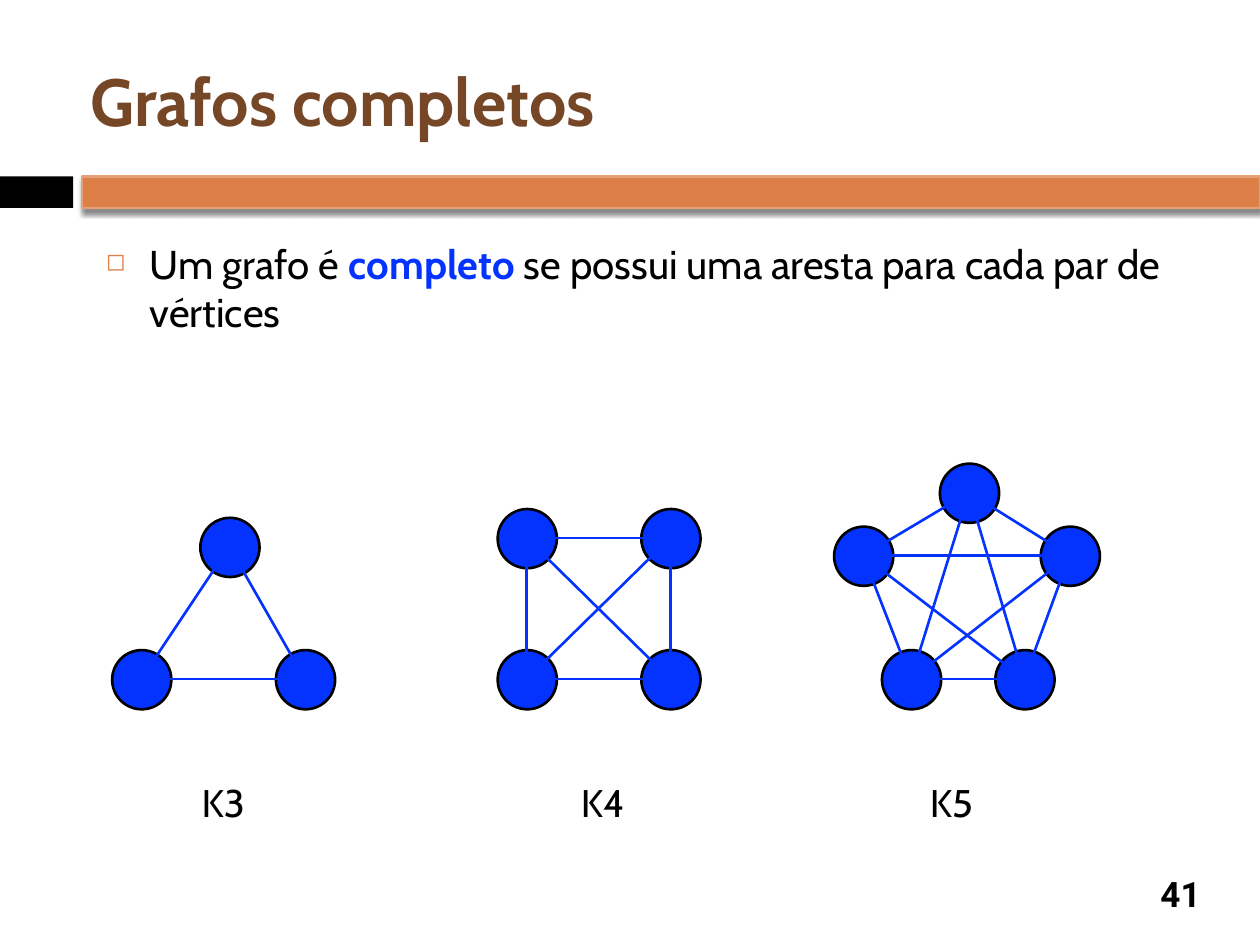
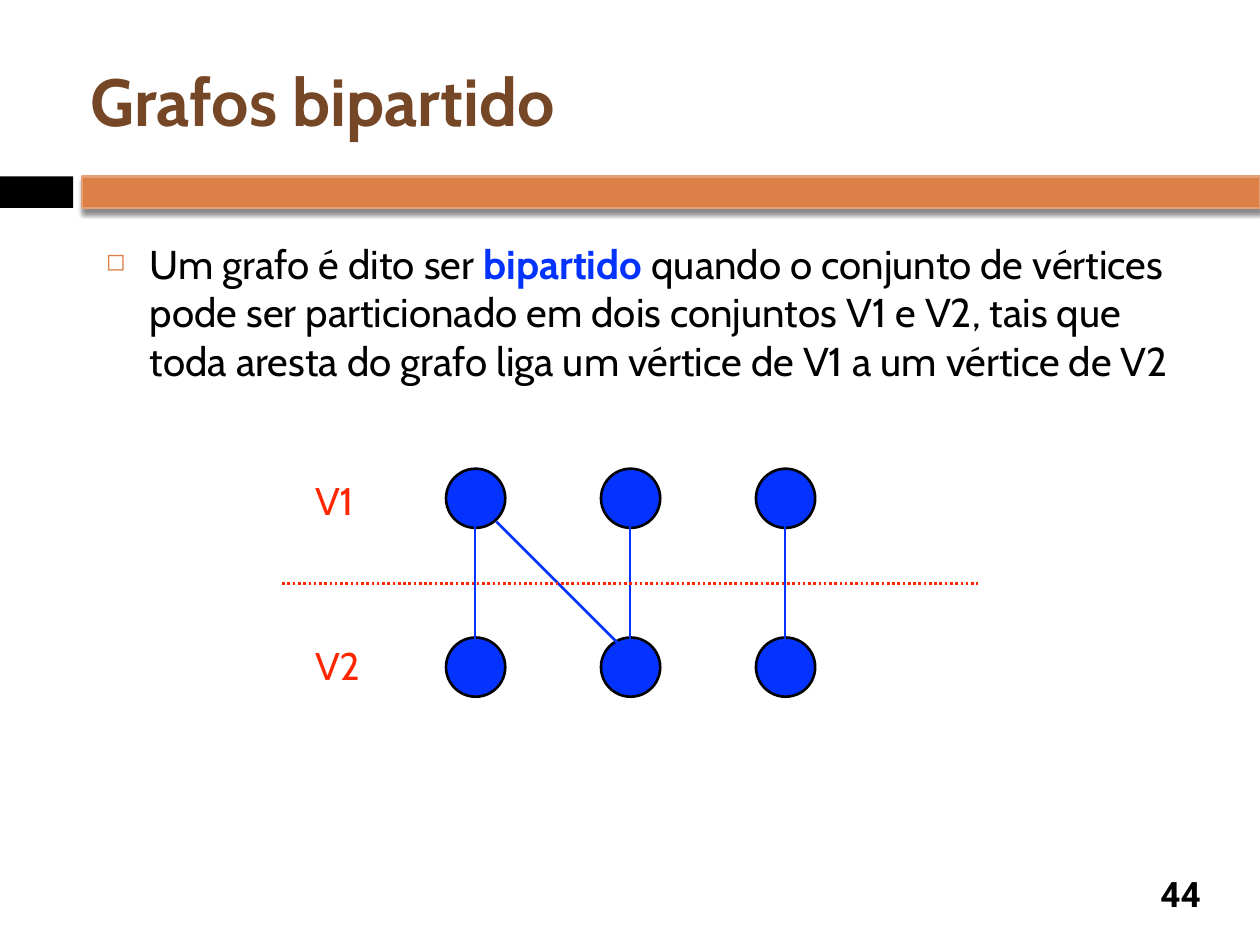
from itertools import combinations

from lxml import etree
from pptx import Presentation
from pptx.dml.color import RGBColor
from pptx.enum.dml import MSO_LINE
from pptx.enum.shapes import MSO_CONNECTOR, MSO_SHAPE
from pptx.enum.text import MSO_ANCHOR, MSO_AUTO_SIZE, PP_ALIGN
from pptx.oxml.ns import qn
from pptx.util import Pt

RECT, OVAL = MSO_SHAPE.RECTANGLE, MSO_SHAPE.OVAL
LINE, DOTS = MSO_CONNECTOR.STRAIGHT, MSO_LINE.ROUND_DOT
TOP, MID = MSO_ANCHOR.TOP, MSO_ANCHOR.MIDDLE
LEFT, CENTER = PP_ALIGN.LEFT, PP_ALIGN.CENTER
FIXED = MSO_AUTO_SIZE.NONE
BLACK, BLUE, RED = "000000", "0433FF", "FF2600"
BROWN, ORANGE, PEACH = "754726", "DD8047", "E5A075"
NODE = 47


def px(n):
    return n * 9144


def color(code):
    return RGBColor.from_string(code)


def add(parent, tag, **attrs):
    return etree.SubElement(parent, qn(tag), attrs)


class Deck:
    """Holds the shared style and the current slide."""

    def __init__(self):
        self.prs = Presentation()
        self.prs.slide_width, self.prs.slide_height = px(1000), px(750)
        self.slide = None

    def page(self, title, number):
        self.slide = self.prs.slides.add_slide(self.prs.slide_layouts[5])
        self.shape(RECT, 0, 140, 58, 25, BLACK)
        band = self.shape(RECT, 65, 140, 935, 25, ORANGE, PEACH)
        self.shade(band)
        head = self.slide.shapes.title
        head.left, head.top, head.width, head.height = map(px, (67, 25, 892, 108))
        self.frame(head, MID)
        self.style(head, title, 38, BROWN, bold=True)
        foot = self.box(908, 689, 58, 41, MID)
        self.style(foot, number, 20, BLACK, "Roboto", True, CENTER)

    def box(self, x, y, w, h, anchor=TOP):
        box = self.slide.shapes.add_textbox(px(x), px(y), px(w), px(h))
        self.frame(box, anchor)
        return box

    def frame(self, box, anchor):
        frame = box.text_frame
        frame.margin_left = frame.margin_right = px(5)
        frame.margin_top = frame.margin_bottom = px(5)
        frame.vertical_anchor, frame.word_wrap = anchor, True
        frame.auto_size = FIXED

    def style(self, box, text, size, ink, face="Cabin", bold=False, align=LEFT):
        para = box.text_frame.paragraphs[0]
        para.text, para.alignment = text, align
        font = para.font
        font.name, font.size, font.bold = face, Pt(size), bold
        font.color.rgb = color(ink)
        return para

    def shape(self, kind, x, y, w, h, fill, edge=None):
        shape = self.slide.shapes.add_shape(kind, px(x), px(y), px(w), px(h))
        shape.shadow.inherit = False
        shape.fill.solid()
        shape.fill.fore_color.rgb = color(fill)
        if edge:
            shape.line.color.rgb = color(edge)
            shape.line.width = Pt(1.5)
        else:
            shape.line.fill.background()
        return shape

    def shade(self, shape):
        effects = shape._element.spPr.find(qn("a:effectLst"))
        shadow = add(effects, "a:outerShdw", blurRad=str(Pt(3)),
                     dist=str(Pt(2.4)), dir="5400000", rotWithShape="0")
        tint = add(shadow, "a:srgbClr", val=BLACK)
        add(tint, "a:alpha", val="45000")

    def point(self, height, before, term, after):
        box = self.box(79, 185, 868, height)
        para = self.style(box, before, 23, BLACK)
        para.space_before = Pt(7)
        key = para.add_run()
        key.text, key.font.bold = term, True
        key.font.color.rgb = color(BLUE)
        para.add_run().text = after
        props = para._p.get_or_add_pPr()
        props.set("marL", str(px(35)))
        props.set("indent", str(px(-35)))
        tint = add(props, "a:buClr")
        add(tint, "a:srgbClr", val=ORANGE)
        add(props, "a:buSzPct", val="60000")
        add(props, "a:buChar", char="◻")
        props.append(props.find(qn("a:defRPr")))

    def label(self, x, y, text, ink=BLACK):
        self.style(self.box(x, y, 55, 43), text, 22, ink)

    def line(self, start, end, ink=BLUE, dash=None):
        line = self.slide.shapes.add_connector(LINE, *map(px, start + end))
        line.line.color.rgb = color(ink)
        line.line.width = Pt(1.5)
        if dash:
            line.line.dash_style = dash
        add(line._element.spPr, "a:effectLst")

    def nodes(self, spots):
        for x, y in spots:
            self.shape(OVAL, x, y, NODE, NODE, BLUE, BLACK)

    def link(self, one, two):
        half = NODE // 2
        self.line(*((x + half, y + half) for x, y in (one, two)))


def complete(deck):
    deck.page("Grafos completos", "41")
    deck.point(83, "Um grafo é ", "completo",
               " se possui uma aresta para cada par de vértices")
    graphs = {
        "K3": (155, [(159, 411), (89, 516), (219, 516)]),
        "K4": (456, [(x, y) for x in (395, 509) for y in (404, 516)]),
        "K5": (733, [(746, 368), (826, 418), (790, 516), (700, 516), (662, 418)]),
    }
    for name, (x, spots) in graphs.items():
        deck.label(x, 613, name)
        deck.nodes(spots)
        for pair in combinations(spots, 2):
            deck.link(*pair)


def split(deck):
    deck.page("Grafos bipartido", "44")
    deck.point(167, "Um grafo é dito ser ", "bipartido",
               " quando o conjunto de vértices pode ser particionado em dois "
               "conjuntos V1 e V2, tais que toda aresta do grafo liga um "
               "vértice de V1 a um vértice de V2")
    upper, lower = ([(354 + 123 * i, y) for i in range(3)] for y in (372, 506))
    deck.nodes(upper + lower)
    for pair in zip(upper, lower):
        deck.link(*pair)
    deck.line((394, 414), (497, 517))
    deck.line((224, 463), (776, 463), RED, DOTS)
    deck.label(245, 374, "V1", RED)
    deck.label(245, 505, "V2", RED)


def main():
    deck = Deck()
    complete(deck)
    split(deck)
    deck.prs.save("out.pptx")


if __name__ == "__main__":
    main()
